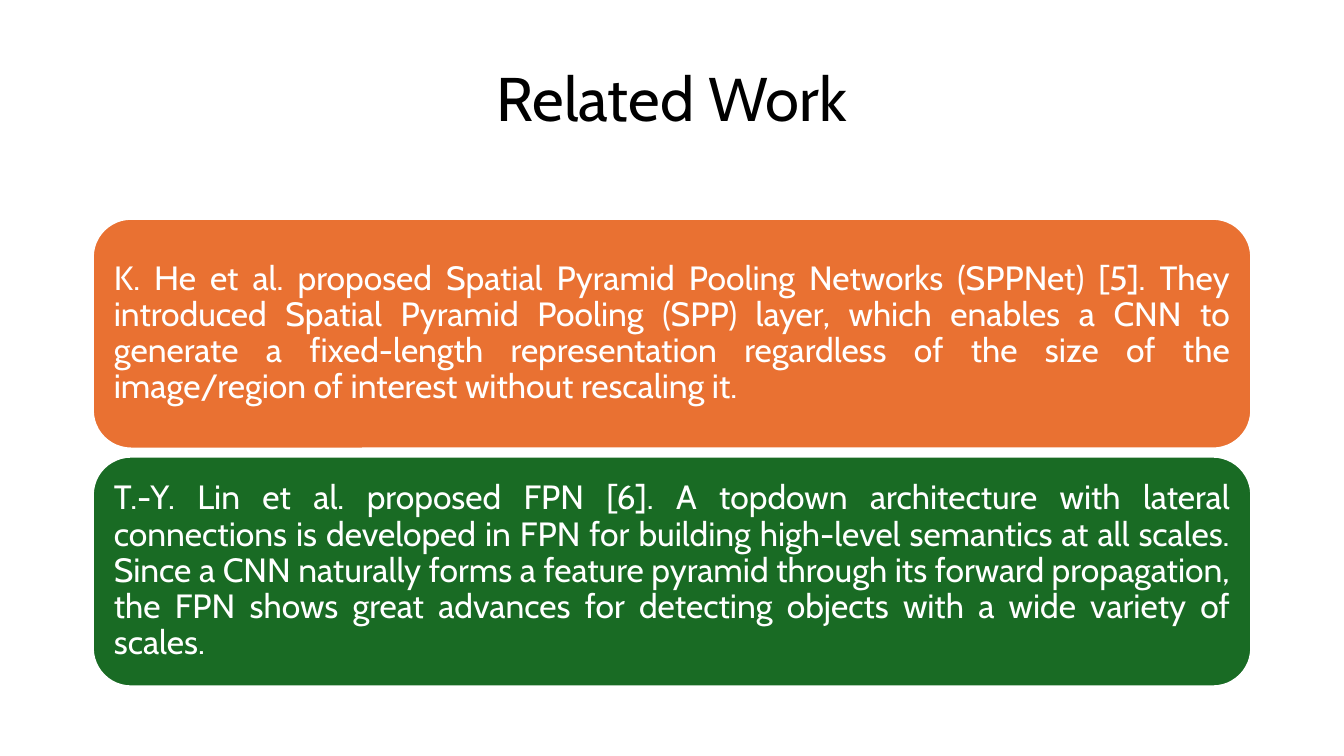
from dataclasses import dataclass

from pptx import Presentation
from pptx import util as u
from pptx.dml import color
from pptx.enum import shapes, text


@dataclass(frozen=True)
class Theme:
    font: str = "Cabin"
    title_size: int = 44
    body_size: int = 24
    black: str = "000000"
    white: str = "FFFFFF"
    orange: str = "E97132"
    green: str = "196B24"


THEME = Theme()
WIDTH, HEIGHT = u.Inches(13.33), u.Inches(7.5)
MARGIN = u.Inches(0.92)
CONTENT_WIDTH = WIDTH - 2 * MARGIN
CARD_GAP = u.Inches(0.08)
INSET = u.Inches(0.1)

CARDS = [
    (THEME.orange,
     "K. He et al. proposed Spatial Pyramid Pooling Networks (SPPNet) [5]. "
     "They introduced Spatial Pyramid Pooling (SPP) layer, which enables a CNN "
     "to generate a fixed-length representation regardless of the size of the "
     "image/region of interest without rescaling it."),
    (THEME.green,
     "T.-Y. Lin et al. proposed FPN [6]. A topdown architecture with lateral "
     "connections is developed in FPN for building high-level semantics at all "
     "scales. Since a CNN naturally forms a feature pyramid through its forward "
     "propagation, the FPN shows great advances for detecting objects with a "
     "wide variety of scales."),
]


def rgb(value):
    return color.RGBColor.from_string(value)


def write(sp, content, size, ink, align, anchor):
    tf = sp.text_frame
    tf.text = content
    tf.word_wrap = True
    tf.auto_size = text.MSO_AUTO_SIZE.NONE
    tf.vertical_anchor = anchor
    p = tf.paragraphs[0]
    p.alignment = align
    p.line_spacing = 0.9
    font = p.runs[0].font
    font.name = THEME.font
    font.size = u.Pt(size)
    font.color.rgb = rgb(ink)


def add_title(s, box, content):
    sp = s.shapes.title
    sp.left, sp.top, sp.width, sp.height = box
    write(sp, content, THEME.title_size, THEME.black,
          text.PP_ALIGN.CENTER, text.MSO_ANCHOR.BOTTOM)


def add_card(s, box, fill, content):
    sp = s.shapes.add_shape(shapes.MSO_SHAPE.ROUNDED_RECTANGLE, *box)
    sp.shadow.inherit = False
    sp.fill.solid()
    sp.fill.fore_color.rgb = rgb(fill)
    sp.line.color.rgb = rgb(THEME.white)
    sp.line.width = u.Pt(1.5)
    tf = sp.text_frame
    tf.margin_left = tf.margin_right = tf.margin_top = tf.margin_bottom = INSET
    write(sp, content, THEME.body_size, THEME.white,
          text.PP_ALIGN.JUSTIFY, text.MSO_ANCHOR.MIDDLE)


def add_card_stack(s, box, cards):
    left, top, width, height = box
    card_height = (height - CARD_GAP * (len(cards) - 1)) // len(cards)
    for row, (fill, content) in enumerate(cards):
        card_top = top + row * (card_height + CARD_GAP)
        add_card(s, (left, card_top, width, card_height), fill, content)


def main():
    prs = Presentation()
    prs.slide_width, prs.slide_height = WIDTH, HEIGHT
    s = prs.slides.add_slide(prs.slide_layouts[5])
    add_title(s, (MARGIN, u.Inches(0.28), CONTENT_WIDTH, u.Inches(1.11)),
              "Related Work")
    add_card_stack(s, (MARGIN, u.Inches(2.17), CONTENT_WIDTH, u.Inches(4.64)),
                   CARDS)
    prs.save("out.pptx")


if __name__ == "__main__":
    main()
